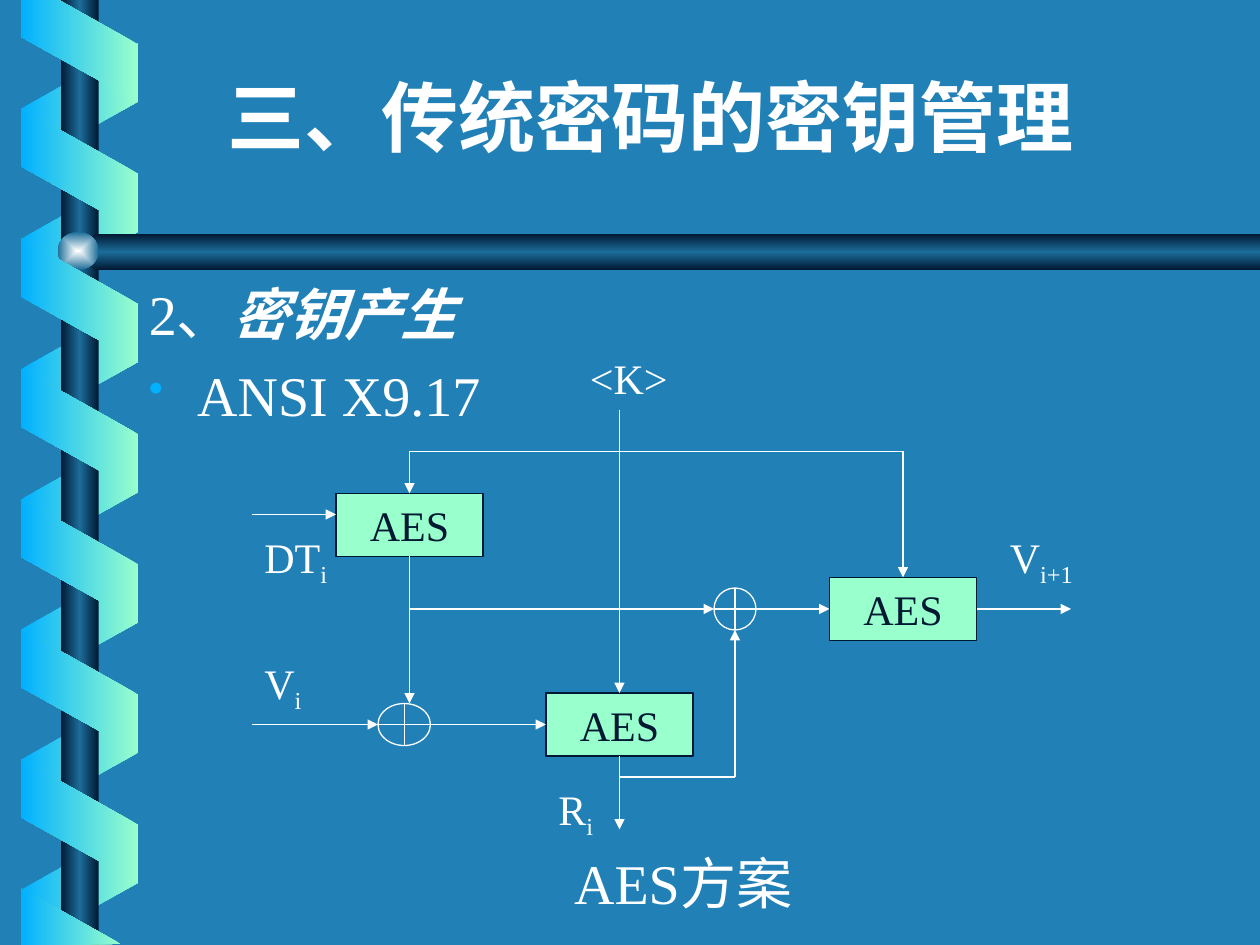
from dataclasses import dataclass

from lxml import etree
from pptx import Presentation
from pptx.dml.color import RGBColor
from pptx.enum.shapes import MSO_CONNECTOR, MSO_SHAPE
from pptx.enum.text import MSO_ANCHOR, PP_ALIGN
from pptx.oxml.ns import qn
from pptx.util import Pt

PX = 7620
STRAIGHT = MSO_CONNECTOR.STRAIGHT
RECT, OVAL = MSO_SHAPE.RECTANGLE, MSO_SHAPE.OVAL
BAND, XOR = MSO_SHAPE.PARALLELOGRAM, MSO_SHAPE.FLOWCHART_OR
TOP, MIDDLE, BOTTOM = MSO_ANCHOR.TOP, MSO_ANCHOR.MIDDLE, MSO_ANCHOR.BOTTOM
CENTER, JUSTIFY = PP_ALIGN.CENTER, PP_ALIGN.JUSTIFY
SERIF, TITLE_FONT = "Times New Roman", "Roboto Condensed"
COLORS = {"bg": "2181B7", "mint": "99FFCC", "sky": "01B0FF", "navy": "001932",
          "steel": "1C6D9A", "white": "FFFFFF", "glow": "FEFFFF"}
POLE = ("navy", "steel", "navy")
FRONT, BACK = ("mint", "sky"), ("sky", "mint")
INDENT, BAND_STEP = 46, 124


@dataclass
class Box:
    x: int
    y: int
    w: int
    h: int


@dataclass
class Label:
    box: Box
    text: str
    sub: str = ""


@dataclass
class Wire:
    x1: int
    y1: int
    x2: int
    y2: int
    arrow: bool = True


CIPHERS = [Box(x, y, 140, 60) for x, y in ((320, 470), (790, 550), (520, 660))]
XORS = [Box(680, 560, 40, 40), Box(360, 670, 50, 40)]
WIRES = [
    Wire(240, 490, 320, 490), Wire(930, 580, 1020, 580), Wire(590, 720, 590, 790),
    Wire(390, 530, 390, 670), Wire(410, 690, 520, 690), Wire(240, 690, 360, 690),
    Wire(720, 580, 790, 580), Wire(590, 390, 590, 660), Wire(390, 580, 680, 580),
    Wire(700, 740, 700, 600), Wire(590, 740, 700, 740, False),
    Wire(390, 430, 390, 470), Wire(390, 430, 860, 430, False), Wire(860, 430, 860, 550),
]
LABELS = [
    Label(Box(520, 740, 120, 67), "R", "i"), Label(Box(240, 620, 100, 67), "V", "i"),
    Label(Box(240, 500, 130, 67), "DT", "i"), Label(Box(550, 330, 200, 60), "<K>"),
    Label(Box(950, 500, 110, 67), "V", "i+1"),
]


def rgb(name: str) -> RGBColor:
    return RGBColor.from_string(COLORS[name])


def emu(box: Box) -> tuple[int, int, int, int]:
    return box.x * PX, box.y * PX, box.w * PX, box.h * PX


def add_run(p, text: str, *, size: int = 32, color: str = "white", font: str = SERIF,
            bold: bool = False, italic: bool = False, baseline: int = 0) -> None:
    r = p.add_run()
    r.text = text
    r.font.size, r.font.name = Pt(size), font
    r.font.bold, r.font.italic = bold, italic
    r.font.color.rgb = rgb(color)
    if baseline:
        r._r.get_or_add_rPr().set("baseline", str(baseline * 1000))


def add_text(s, box: Box, anchor=TOP):
    tf = s.shapes.add_textbox(*emu(box)).text_frame
    tf.word_wrap, tf.vertical_anchor = True, anchor
    return tf


def set_gradient(sp, names: tuple[str, ...], angle: int = 180, radial: bool = False) -> None:
    sp.shadow.inherit = False
    sp.line.fill.background()
    sp.fill.gradient()
    grad = sp._element.spPr.find(qn("a:gradFill"))
    for child in list(grad):
        grad.remove(child)
    grad.set("rotWithShape", "0")
    stops = etree.SubElement(grad, qn("a:gsLst"))
    for i, name in enumerate(names):
        gs = etree.SubElement(stops, qn("a:gs"), pos=str(100000 * i // (len(names) - 1)))
        etree.SubElement(gs, qn("a:srgbClr"), val=COLORS[name])
    if radial:
        way = etree.SubElement(grad, qn("a:path"), path="rect")
        etree.SubElement(way, qn("a:fillToRect"), {side: "50000" for side in "ltrb"})
    else:
        etree.SubElement(grad, qn("a:lin"), ang=str(angle * 60000), scaled="1")


def add_outline(s, points: list[tuple[int, int]], names: tuple[str, ...], angle: int = 180) -> None:
    builder = s.shapes.build_freeform(*points[0], scale=PX)
    builder.add_line_segments(points[1:], close=True)
    set_gradient(builder.convert_to_shape(), names, angle)


def add_band(s, y: int, front: bool) -> None:
    sp = s.shapes.add_shape(BAND, *emu(Box(17, y, 118, 112)))
    sp.adjustments[0] = 0.56
    sp.rotation = 270 if front else 90
    if not front:
        sp._element.spPr.find(qn("a:xfrm")).set("flipH", "1")
    set_gradient(sp, FRONT if front else BACK)


def add_spiral(s) -> None:
    for i in range(7):
        add_band(s, 44 + BAND_STEP * i, False)
    set_gradient(s.shapes.add_shape(RECT, *emu(Box(58, 0, 36, 900))), POLE)
    add_outline(s, [(1200, 223), (91, 223), (72, 240), (91, 257), (1200, 257)], POLE, 90)
    ball = s.shapes.add_shape(OVAL, *emu(Box(55, 221, 39, 36)))
    set_gradient(ball, ("glow", "steel"), radial=True)
    for i in range(6):
        add_band(s, 106 + BAND_STEP * i, True)
    add_outline(s, [(20, 0), (20, 35), (131, 97), (131, 42), (56, 0)], FRONT)
    add_outline(s, [(115, 899), (20, 846), (20, 900)], FRONT)


def add_headings(s) -> None:
    p = add_text(s, Box(110, 50, 1020, 110), BOTTOM).paragraphs[0]
    p.alignment = CENTER
    add_run(p, "三、传统密码的密钥管理", size=44, font=TITLE_FONT, bold=True)
    tf = add_text(s, Box(130, 260, 1030, 160))
    p = tf.paragraphs[0]
    add_run(p, "2、")
    add_run(p, "密钥产生", bold=True, italic=True)
    item = tf.add_paragraph()
    item.alignment, item.space_before = JUSTIFY, Pt(8)
    for par in (p, item):
        pPr = par._p.get_or_add_pPr()
        pPr.set("marL", str(INDENT * PX))
        pPr.set("indent", str(-INDENT * PX))
    color = etree.SubElement(pPr, qn("a:buClr"))
    etree.SubElement(color, qn("a:srgbClr"), val=COLORS["sky"])
    etree.SubElement(pPr, qn("a:buSzPct"), val="75000")
    etree.SubElement(pPr, qn("a:buChar"), char="•")
    add_run(item, "ANSI X9.17")
    add_run(add_text(s, Box(535, 802, 400, 80)).paragraphs[0], "AES方案")


def add_cipher(s, box: Box) -> None:
    sp = s.shapes.add_shape(RECT, *emu(box))
    sp.shadow.inherit = False
    sp.fill.solid()
    sp.fill.fore_color.rgb = rgb("mint")
    sp.line.color.rgb, sp.line.width = rgb("navy"), Pt(0.75)
    tf = sp.text_frame
    tf.word_wrap, tf.vertical_anchor = False, MIDDLE
    p = tf.paragraphs[0]
    p.alignment = CENTER
    add_run(p, "AES", size=24, color="navy")


def add_xor(s, box: Box) -> None:
    sp = s.shapes.add_shape(XOR, *emu(box))
    sp.shadow.inherit = False
    sp.fill.background()
    sp.line.color.rgb, sp.line.width = rgb("white"), Pt(0.75)


def add_wire(s, wire: Wire) -> None:
    ends = (v * PX for v in (wire.x1, wire.y1, wire.x2, wire.y2))
    line = s.shapes.add_connector(STRAIGHT, *ends)
    line.line.color.rgb, line.line.width = rgb("white"), Pt(0.75)
    if wire.arrow:
        etree.SubElement(line.line._get_or_add_ln(), qn("a:tailEnd"), type="triangle")
    etree.SubElement(line._element.spPr, qn("a:effectLst"))


def add_label(s, label: Label) -> None:
    p = add_text(s, label.box).paragraphs[0]
    add_run(p, label.text, size=24)
    if label.sub:
        add_run(p, label.sub, size=24, baseline=-25)


def main() -> None:
    """Build the key generation slide and save it."""
    prs = Presentation()
    prs.slide_width, prs.slide_height = 1200 * PX, 900 * PX
    s = prs.slides.add_slide(prs.slide_layouts[6])
    s.background.fill.solid()
    s.background.fill.fore_color.rgb = rgb("bg")
    add_spiral(s)
    add_headings(s)
    for draw, items in ((add_cipher, CIPHERS), (add_xor, XORS), (add_wire, WIRES), (add_label, LABELS)):
        for item in items:
            draw(s, item)
    prs.save("out.pptx")


if __name__ == "__main__":
    main()
